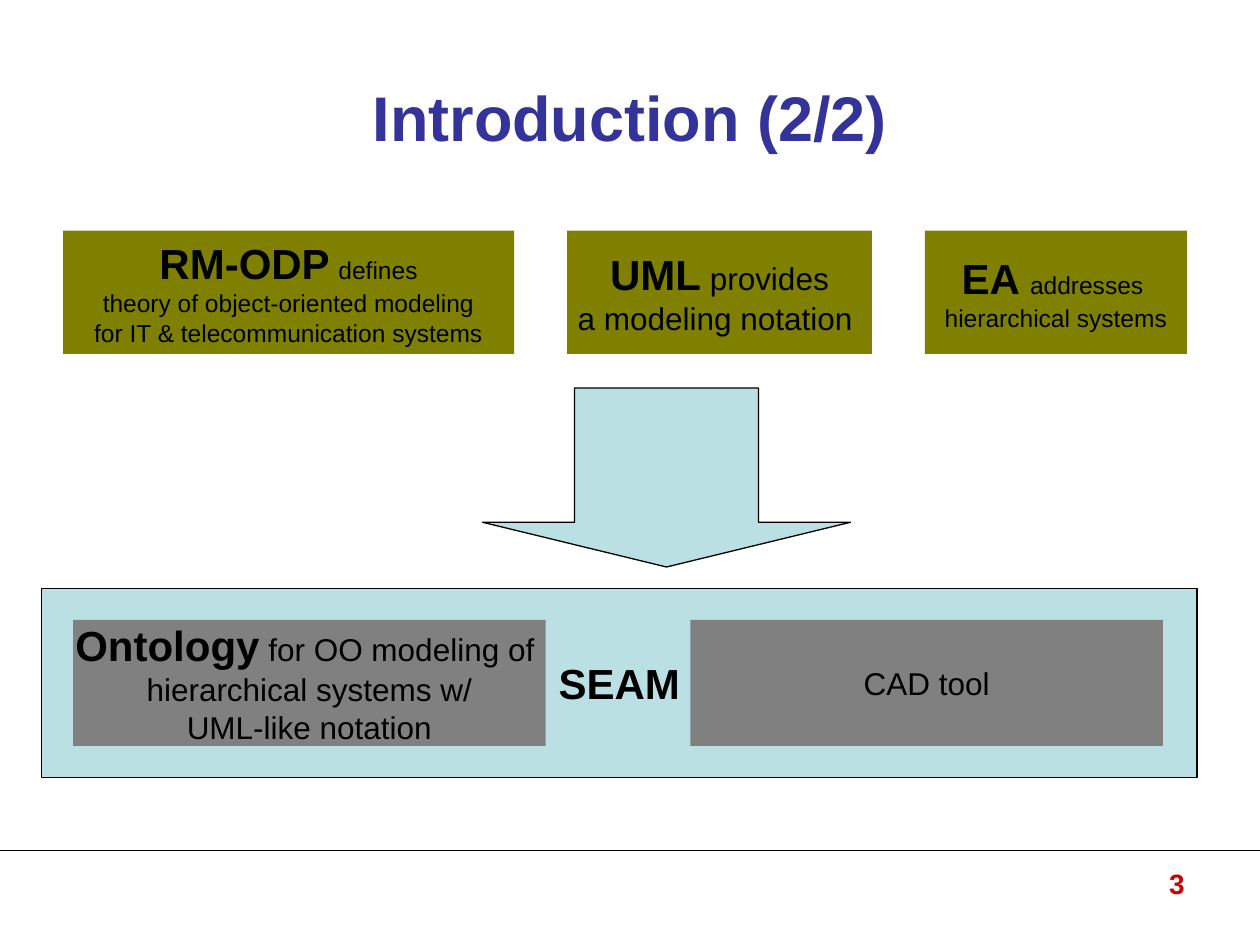
from dataclasses import dataclass

from lxml import etree
from pptx import Presentation
from pptx.dml.color import RGBColor
from pptx.enum.shapes import MSO_CONNECTOR, MSO_SHAPE
from pptx.enum.text import MSO_ANCHOR, PP_ALIGN
from pptx.oxml.ns import qn
from pptx.util import Inches, Pt

RECTANGLE = MSO_SHAPE.RECTANGLE
DOWN_ARROW = MSO_SHAPE.DOWN_ARROW
STRAIGHT = MSO_CONNECTOR.STRAIGHT
MIDDLE = MSO_ANCHOR.MIDDLE
CENTER = PP_ALIGN.CENTER
RIGHT = PP_ALIGN.RIGHT


@dataclass(frozen=True)
class Theme:
    font: str = "Arial"
    ink: str = "000000"
    heading: str = "333399"
    number: str = "CC0000"
    source: str = "808000"
    result: str = "BBE0E3"
    component: str = "808080"
    title_size: int = 36
    key_size: int = 24
    body_size: int = 18
    page_size: int = 16
    small_size: int = 14
    outline: float = 0.75
    rule: float = 1


class SlideBuilder:
    """Draws themed elements on the current slide."""

    def __init__(self, slide, theme):
        self.slide = slide
        self.theme = theme

    def style(self, run, size, bold=False, color=None):
        run.font.name = self.theme.font
        run.font.size = Pt(size)
        run.font.bold = bold
        run.font.color.rgb = RGBColor.from_string(color or self.theme.ink)

    def title(self, text, left, top, width, height):
        heading = self.slide.shapes.title
        heading.left, heading.top = Inches(left), Inches(top)
        heading.width, heading.height = Inches(width), Inches(height)
        frame = heading.text_frame
        frame.text = text
        frame.vertical_anchor = MIDDLE
        frame.paragraphs[0].alignment = CENTER
        self.style(frame.paragraphs[0].runs[0], self.theme.title_size, True, self.theme.heading)

    def shape(self, kind, left, top, width, height, fill, outlined=False):
        figure = self.slide.shapes.add_shape(
            kind, Inches(left), Inches(top), Inches(width), Inches(height))
        figure.shadow.inherit = False
        figure.fill.solid()
        figure.fill.fore_color.rgb = RGBColor.from_string(fill)
        if outlined:
            figure.line.color.rgb = RGBColor.from_string(self.theme.ink)
            figure.line.width = Pt(self.theme.outline)
        else:
            figure.line.fill.background()
        return figure

    def box(self, left, top, width, height, fill, lines, outlined=False):
        frame = self.shape(RECTANGLE, left, top, width, height, fill, outlined).text_frame
        frame.word_wrap = False
        frame.vertical_anchor = MIDDLE
        for index, spans in enumerate(lines):
            paragraph = frame.add_paragraph() if index else frame.paragraphs[0]
            paragraph.alignment = CENTER
            for text, size in spans:
                run = paragraph.add_run()
                run.text = text
                self.style(run, size, size == self.theme.key_size)

    def arrow(self, left, top, width, height, fill):
        block = self.shape(DOWN_ARROW, left, top, width, height, fill, True)
        block.adjustments[0] = 0.5
        block.adjustments[1] = 0.25

    def rule(self, left, top, width):
        line = self.slide.shapes.add_connector(
            STRAIGHT, Inches(left), Inches(top), Inches(left + width), Inches(top))
        line.line.color.rgb = RGBColor.from_string(self.theme.ink)
        line.line.width = Pt(self.theme.rule)
        etree.SubElement(line._element.spPr, qn("a:effectLst"))

    def page_number(self, text, left, top, width, height):
        frame = self.slide.shapes.add_textbox(
            Inches(left), Inches(top), Inches(width), Inches(height)).text_frame
        frame.word_wrap = True
        frame.text = text
        frame.paragraphs[0].alignment = RIGHT
        self.style(frame.paragraphs[0].runs[0], self.theme.page_size, True, self.theme.number)


def main():
    presentation = Presentation()
    presentation.slide_width = Inches(10)
    presentation.slide_height = Inches(7.5)
    theme = Theme()
    slide = presentation.slides.add_slide(presentation.slide_layouts[5])
    builder = SlideBuilder(slide, theme)
    key, body, small = theme.key_size, theme.body_size, theme.small_size

    builder.rule(0, 6.75, 10)
    builder.title("Introduction (2/2)", 0.5, 0.3, 9, 1.25)

    sources = [
        (3.58, [[("RM-ODP", key), (" ", body), ("defines", small)],
                [("theory of object-oriented modeling", small)],
                [("for IT & telecommunication systems", small)]]),
        (2.42, [[("UML", key), (" provides", body)],
                [("a modeling notation ", body)]]),
        (2.08, [[("EA ", key), ("addresses ", small)],
                [("hierarchical systems", small)]]),
    ]
    source_left, source_gap = 0.5, 0.42
    for width, lines in sources:
        builder.box(source_left, 1.83, width, 0.98, theme.source, lines)
        source_left += width + source_gap

    builder.arrow(3.83, 3.08, 2.92, 1.42, theme.result)

    builder.box(0.33, 4.67, 9.17, 1.5, theme.result, [[("SEAM", key)]], outlined=True)
    seam_components = [
        (0.58, [[("Ontology", key), (" for OO modeling of ", body)],
                [("hierarchical systems w/", body)],
                [("UML-like notation", body)]]),
        (5.48, [[("CAD tool", body)]]),
    ]
    for left, lines in seam_components:
        builder.box(left, 4.92, 3.75, 1, theme.component, lines)

    builder.page_number("3", 8.85, 6.83, 0.65, 0.52)
    presentation.save("out.pptx")


if __name__ == "__main__":
    main()
